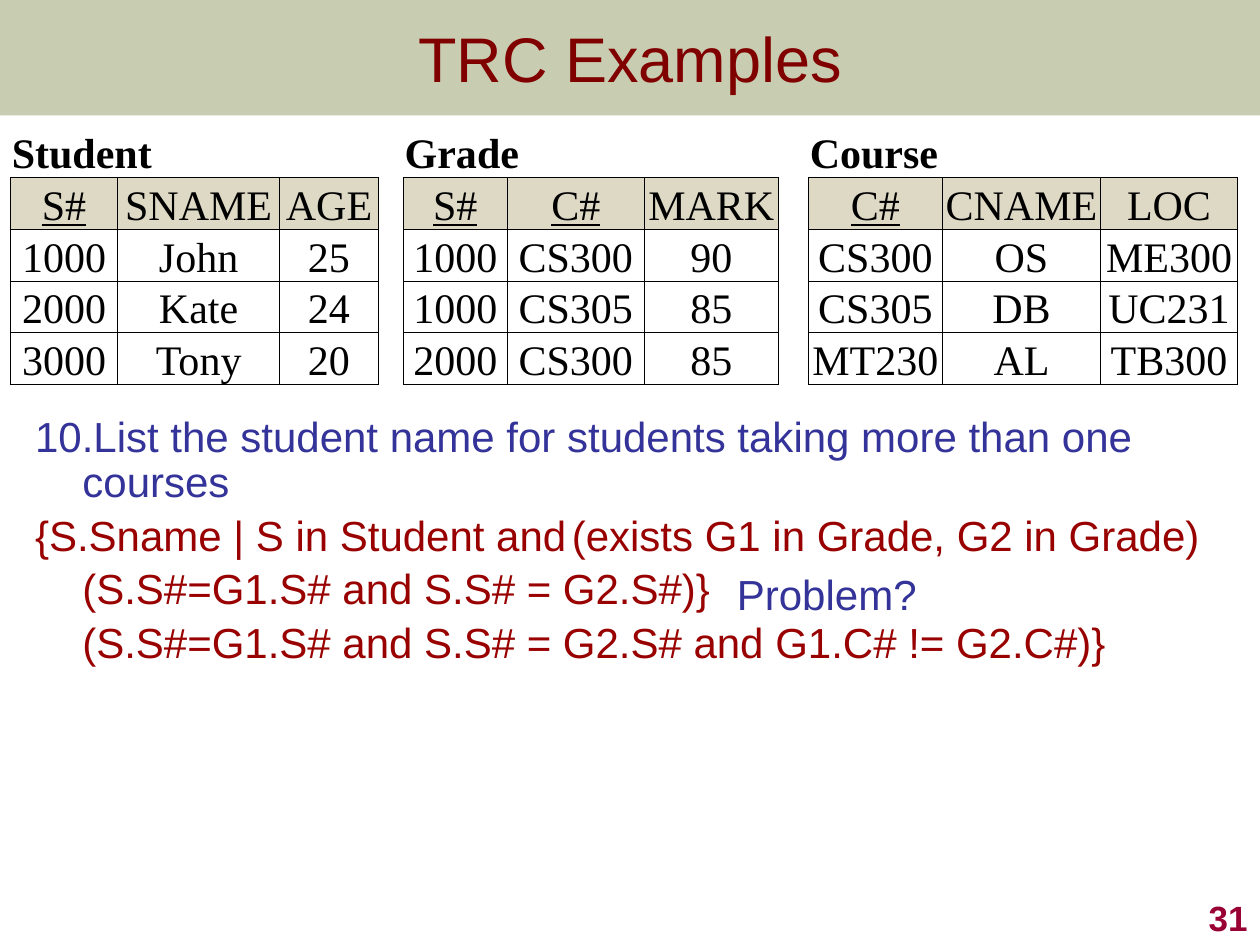
from dataclasses import dataclass

from lxml import etree
from pptx import Presentation
from pptx.dml.color import RGBColor
from pptx.enum.shapes import MSO_SHAPE
from pptx.enum.text import MSO_ANCHOR, PP_ALIGN
from pptx.oxml.ns import qn
from pptx.util import Pt

RECT = MSO_SHAPE.RECTANGLE
TOP, MIDDLE, BOTTOM = MSO_ANCHOR.TOP, MSO_ANCHOR.MIDDLE, MSO_ANCHOR.BOTTOM
LEFT, CENTER, RIGHT = PP_ALIGN.LEFT, PP_ALIGN.CENTER, PP_ALIGN.RIGHT

BLACK = RGBColor(0, 0, 0)
WHITE = RGBColor(0xFF, 0xFF, 0xFF)
OLIVE = RGBColor(0x67, 0x72, 0x28)
MAROON = RGBColor(0x80, 0x00, 0x00)
RED = RGBColor(0x99, 0x00, 0x00)
CRIMSON = RGBColor(0x99, 0x00, 0x33)
BLUE = RGBColor(0x33, 0x33, 0x99)
BEIGE = RGBColor(0xDD, 0xD9, 0xC4)

SANS, SERIF = "Arial", "Times New Roman"
SLIDE_W, SLIDE_H, BAND_H = 720, 540, 66
ROW_H, GRID_X, GRID_Y = 27.36, 6, 72
HANG = 27
SIDES = "LRTB"


@dataclass
class Relation:
    name: str
    widths: list[float]
    keys: int  # number of leading key columns
    rows: list[list[str]]
    gap: float = 0  # empty column after the relation


@dataclass
class Line:
    text: str
    color: RGBColor
    indent: float = 0


RELATIONS = [
    Relation("Student", [61.2, 92.6, 56.4], 1,
             [["S#", "SNAME", "AGE"], ["1000", "John", "25"],
              ["2000", "Kate", "24"], ["3000", "Tony", "20"]], 14.4),
    Relation("Grade", [59.2, 78.5, 76.4], 2,
             [["S#", "C#", "MARK"], ["1000", "CS300", "90"],
              ["1000", "CS305", "85"], ["2000", "CS300", "85"]], 17.4),
    Relation("Course", [76.4, 90.6, 78], 1,
             [["C#", "CNAME", "LOC"], ["CS300", "OS", "ME300"],
              ["CS305", "DB", "UC231"], ["MT230", "AL", "TB300"]]),
]

QUERY = [
    Line("10.List the student name for students taking more than one courses",
         BLUE, -HANG),
    Line("{S.Sname | S in Student and", RED, -HANG),
    Line("(S.S#=G1.S# and S.S# = G2.S#)}", RED),
    Line("(S.S#=G1.S# and S.S# = G2.S# and G1.C# != G2.C#)}", RED),
]


def add_run(p, text: str, size: float, color: RGBColor, font: str = SANS,
            bold: bool = False, underline: bool = False) -> None:
    r = p.add_run()
    r.text = text
    r.font.size, r.font.name = Pt(size), font
    r.font.bold, r.font.underline = bold, underline
    r.font.color.rgb = color


def add_box(s, x: float, y: float, w: float, h: float,
            anchor=TOP, wrap: bool = True):
    tf = s.shapes.add_textbox(Pt(x), Pt(y), Pt(w), Pt(h)).text_frame
    tf.word_wrap = wrap
    tf.vertical_anchor = anchor
    return tf


def add_label(s, text: str, x: float, y: float, w: float, h: float,
              size: float, color: RGBColor, align=LEFT, anchor=TOP,
              bold: bool = False, wrap: bool = True, spacing: float = 1) -> None:
    p = add_box(s, x, y, w, h, anchor, wrap).paragraphs[0]
    p.alignment, p.line_spacing = align, spacing
    add_run(p, text, size, color, bold=bold)


def style_cell(cell, fill: RGBColor, sides: str) -> None:
    """Fill the cell and rule only the named sides."""
    cell.margin_left = cell.margin_right = cell.margin_top = Pt(0.72)
    cell.margin_bottom = 0
    cell.vertical_anchor = BOTTOM
    tc_pr = cell._tc.get_or_add_tcPr()
    for side in SIDES:
        ln = etree.SubElement(tc_pr, qn(f"a:ln{side}"), w=str(Pt(0.5)))
        if side in sides:
            paint = etree.SubElement(ln, qn("a:solidFill"))
            etree.SubElement(paint, qn("a:srgbClr"), val=str(BLACK))
        else:
            etree.SubElement(ln, qn("a:noFill"))
    cell.fill.solid()
    cell.fill.fore_color.rgb = fill


def fill_relation(table, rel: Relation, first: int) -> None:
    cols = len(rel.widths)
    for c in range(cols):
        style_cell(table.cell(0, first + c), WHITE, "B")
    title = table.cell(0, first)
    title.merge(table.cell(0, first + cols - 1))
    add_run(title.text_frame.paragraphs[0], rel.name, 24, BLACK, SERIF, bold=True)
    for i, row in enumerate(rel.rows):
        for c, value in enumerate(row):
            cell = table.cell(i + 1, first + c)
            style_cell(cell, WHITE if i else BEIGE, SIDES)
            p = cell.text_frame.paragraphs[0]
            p.alignment = CENTER
            add_run(p, value, 24, BLACK, SERIF,
                    underline=i == 0 and c < rel.keys)
    if rel.gap:
        for i in range(len(rel.rows) + 1):
            style_cell(table.cell(i, first + cols), WHITE, "LR" if i else "")


def add_relations(s, relations: list[Relation]) -> None:
    widths = []
    for rel in relations:
        widths += rel.widths + ([rel.gap] if rel.gap else [])
    n = len(relations[0].rows) + 1
    table = s.shapes.add_table(n, len(widths), Pt(GRID_X), Pt(GRID_Y),
                               Pt(sum(widths)), Pt(n * ROW_H)).table
    table.first_row = table.horz_banding = False
    for col, w in zip(table.columns, widths):
        col.width = Pt(w)
    for row in table.rows:
        row.height = Pt(ROW_H)
    first = 0
    for rel in relations:
        fill_relation(table, rel, first)
        first += len(rel.widths) + 1


def add_query(s, lines: list[Line]) -> None:
    tf = add_box(s, 13, 234, 676.8, 257.8)
    tf.margin_right = 0
    for i, line in enumerate(lines):
        p = tf.paragraphs[0] if i == 0 else tf.add_paragraph()
        p.line_spacing, p.space_before = 0.9, Pt(4.8)
        p_pr = p._p.get_or_add_pPr()
        p_pr.set("marL", str(Pt(HANG)))
        p_pr.set("indent", str(Pt(line.indent)))
        add_run(p, line.text, 24, line.color)


def add_band(s) -> None:
    sp = s.shapes.add_shape(RECT, 0, 0, Pt(SLIDE_W), Pt(BAND_H))
    sp.shadow.inherit = False
    sp.line.fill.background()
    sp.fill.solid()
    sp.fill.fore_color.rgb = OLIVE
    color = sp.fill._xPr.find(qn("a:solidFill"))[0]
    etree.SubElement(color, qn("a:alpha"), val="36000")


def main() -> None:
    prs = Presentation()
    prs.slide_width, prs.slide_height = Pt(SLIDE_W), Pt(SLIDE_H)
    s = prs.slides.add_slide(prs.slide_layouts[6])

    # Title band
    add_band(s)
    add_label(s, "TRC Examples", 0, 0, SLIDE_W, BAND_H, 36, MAROON, CENTER, MIDDLE)

    # Query and its annotations
    add_query(s, QUERY)
    add_label(s, "(exists G1 in Grade, G2 in Grade)", 319.7, 291, 390, 33,
              24, RED, spacing=0.9)
    add_label(s, "Problem?", 414, 321.1, 118, 36, 24, BLUE, wrap=False)

    # Relations
    add_relations(s, RELATIONS)

    # Slide number
    add_label(s, "31", 570, 504, 150, 36, 20, CRIMSON, RIGHT, BOTTOM, bold=True)

    prs.save("out.pptx")


if __name__ == "__main__":
    main()
